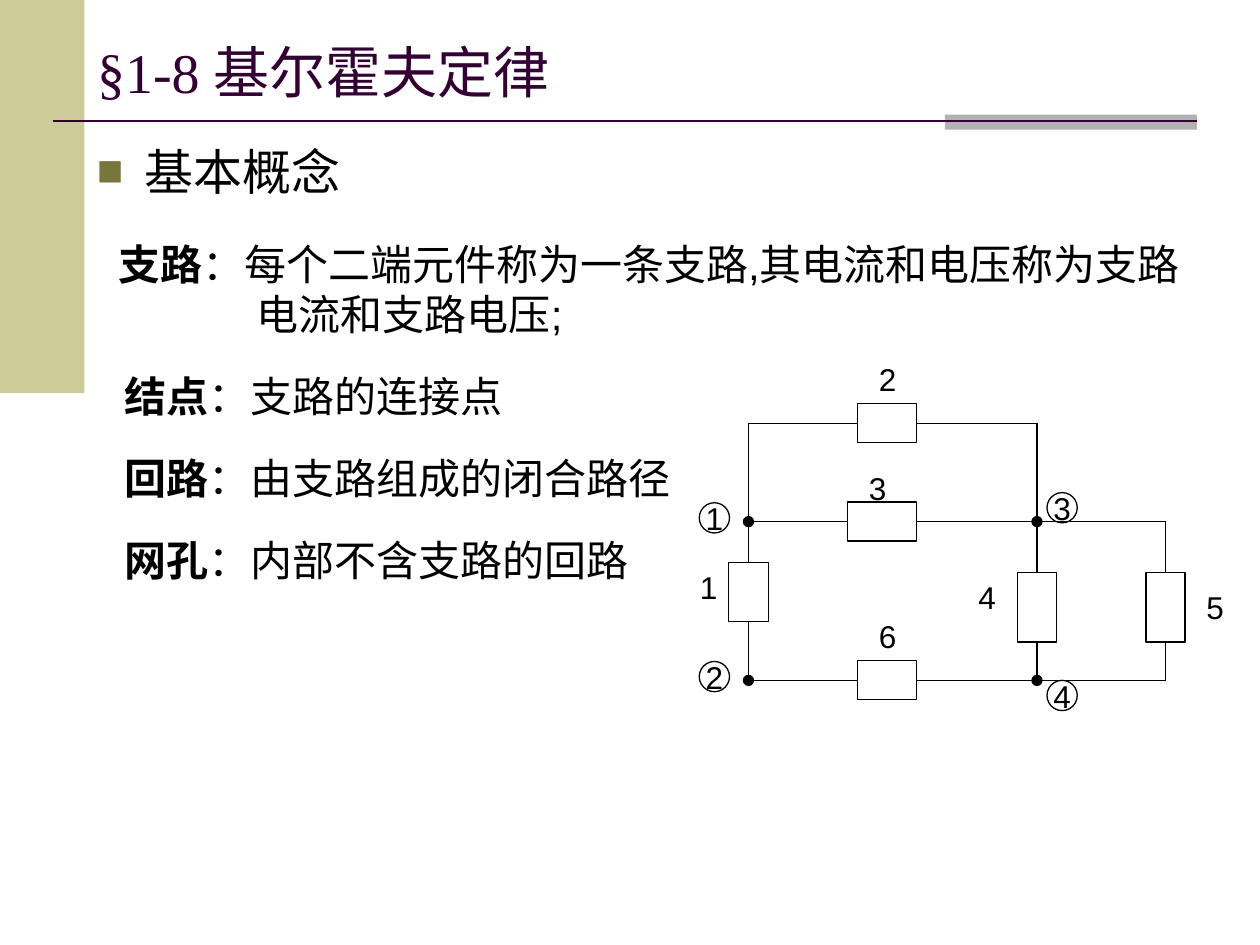
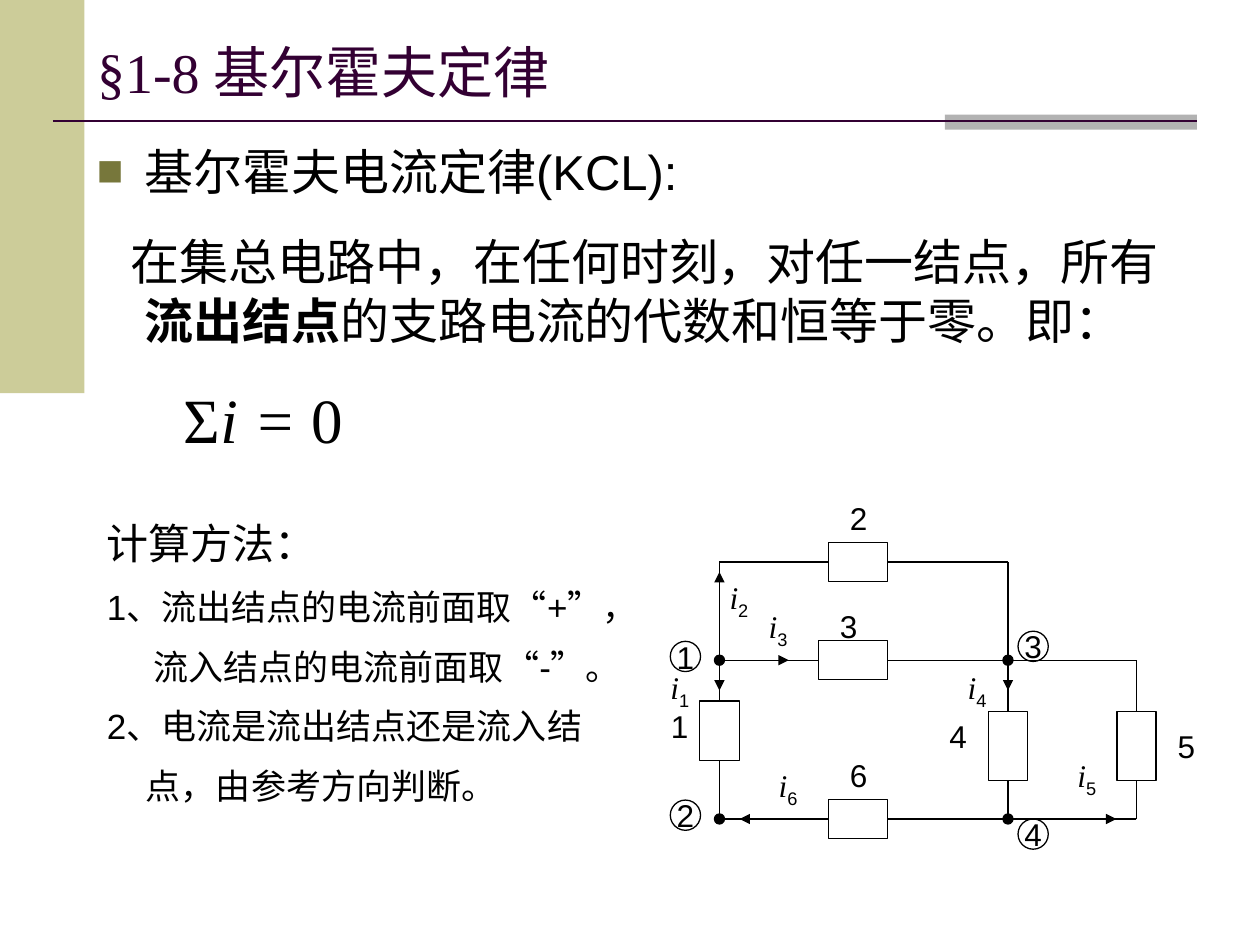
from dataclasses import dataclass
from typing import NamedTuple

import pptx
import pptx.dml.color
import pptx.enum.lang
import pptx.enum.shapes
import pptx.enum.text
import pptx.oxml.ns
import pptx.util
from lxml import etree
from pptx.util import Inches

COLORS = {
    "text": "000000",
    "title": "330033",
    "side_band": "CCCC99",
    "rule_band": "B2B2B2",
    "bullet": "77773B",
}
SANS, SERIF = "Arial", "Times New Roman"
TITLE = "§1-8 基尔霍夫定律"
SHAPES = pptx.enum.shapes.MSO_SHAPE
TOP, LEFT, BOTTOM, RIGHT = range(4)


class Point(NamedTuple):
    x: float
    y: float


class Run(NamedTuple):
    text: str
    style: dict = {}


@dataclass
class Paragraph:
    runs: list[Run]
    size: float = 24
    margin: float = 0
    indent: float = 0
    before: float = 18
    bullet: bool = False
    centered: bool = False


@dataclass
class Resistor:
    center: Point
    width: float
    height: float
    label: Point


@dataclass
class Wire:
    """Runs from start to a free end, or to the side of a resistor."""
    start: Point
    end: Point | None = None
    resistor: int = 0
    side: int = 0


@dataclass
class Current:
    start: Point
    end: Point
    label: Point


# Circuit, measured from its upper left corner
MIDDLE, LOW = 0.78, 2.04      # heights of the lower rails
INNER, OUTER = 2.29, 3.31     # positions of the right-hand branches
DOT, RING = 0.08, 0.24
LABEL_WIDTH, LABEL_HEIGHT = 0.47, 0.4

CORNER = Point(0, 0)
NODES = [Point(0, MIDDLE), Point(0, LOW), Point(INNER, MIDDLE), Point(INNER, LOW)]
NODE_LABELS = [Point(-0.39, 0.63), Point(-0.39, 1.89), Point(2.37, 0.55), Point(2.37, 2.04)]
RESISTORS = {
    1: Resistor(Point(0, 1.34), 0.32, 0.47, Point(-0.55, 1.1)),
    2: Resistor(Point(1.1, 0), 0.47, 0.31, Point(0.87, -0.55)),
    3: Resistor(Point(1.06, MIDDLE), 0.55, 0.31, Point(0.79, 0.31)),
    4: Resistor(Point(INNER, 1.46), 0.31, 0.55, Point(1.66, 1.18)),
    5: Resistor(Point(OUTER, 1.46), 0.31, 0.55, Point(3.47, 1.26)),
    6: Resistor(Point(1.1, LOW), 0.47, 0.31, Point(0.87, 1.49)),
}
WIRES = [
    Wire(CORNER, resistor=2, side=LEFT),
    Wire(CORNER, resistor=1, side=TOP),
    Wire(Point(INNER, 0), resistor=2, side=RIGHT),
    Wire(Point(INNER, 0), resistor=4, side=TOP),
    Wire(NODES[0], resistor=3, side=LEFT),
    Wire(NODES[2], resistor=3, side=RIGHT),
    Wire(NODES[2], Point(OUTER, MIDDLE)),
    Wire(Point(OUTER, MIDDLE), resistor=5, side=TOP),
    Wire(NODES[1], resistor=1, side=BOTTOM),
    Wire(NODES[1], resistor=6, side=LEFT),
    Wire(Point(OUTER, LOW), resistor=6, side=RIGHT),
    Wire(Point(OUTER, LOW), resistor=5, side=BOTTOM),
    Wire(NODES[3], resistor=4, side=BOTTOM),
]
CURRENTS = {
    1: Current(Point(0, 0.86), Point(0, 1.02), Point(-0.55, 0.79)),
    2: Current(Point(0, 0.55), Point(0, 0.08), Point(-0.08, 0.08)),
    3: Current(Point(0.16, MIDDLE), Point(0.55, MIDDLE), Point(0.23, 0.31)),
    4: Current(Point(INNER, 0.86), Point(INNER, 1.02), Point(1.81, 0.79)),
    5: Current(Point(2.68, LOW), Point(3.15, LOW), Point(2.68, 1.49)),
    6: Current(Point(0.63, LOW), Point(0.16, LOW), Point(0.31, 1.57)),
}


def rgb(name: str) -> pptx.dml.color.RGBColor:
    return pptx.dml.color.RGBColor.from_string(COLORS[name])


# Text
def add_text(paragraph, text: str, *, size: float, font: str = SANS, color: str = "text",
             bold: bool = False, italic: bool = False, baseline: int = 0) -> None:
    run = paragraph.add_run()
    run.text = text
    run.font.size = pptx.util.Pt(size)
    run.font.name = font
    run.font.bold = bold
    run.font.italic = italic
    run.font.color.rgb = rgb(color)
    run.font.language_id = pptx.enum.lang.MSO_LANGUAGE_ID.SIMPLIFIED_CHINESE
    if baseline:
        run.font._element.set("baseline", str(baseline * 1000))


def set_bullet(properties) -> None:
    def add(parent, tag: str, **attributes: str):
        return etree.SubElement(parent, pptx.oxml.ns.qn(tag), **attributes)

    add(add(properties, "a:buClr"), "a:srgbClr", val=COLORS["bullet"])
    add(properties, "a:buSzPct", val="90000")
    add(properties, "a:buFont", typeface=SANS)
    add(properties, "a:buChar", char="■")


def write_paragraphs(frame, paragraphs: list[Paragraph]) -> None:
    for index, item in enumerate(paragraphs):
        paragraph = frame.paragraphs[0] if index == 0 else frame.add_paragraph()
        properties = paragraph._p.get_or_add_pPr()
        properties.set("marL", str(Inches(item.margin)))
        properties.set("indent", str(Inches(item.indent)))
        if index:
            paragraph.space_before = pptx.util.Pt(item.before)
        if item.bullet:
            set_bullet(properties)
        if item.centered:
            paragraph.alignment = pptx.enum.text.PP_ALIGN.CENTER
        for run in item.runs:
            add_text(paragraph, run.text, **{"size": item.size, **run.style})


def add_text_box(slide, corner: Point, width: float, height: float,
                 paragraphs: list[Paragraph]) -> None:
    box = slide.shapes.add_textbox(*map(Inches, (*corner, width, height)))
    box.text_frame.word_wrap = True
    write_paragraphs(box.text_frame, paragraphs)


# Shapes and lines
def add_shape(slide, kind, corner: Point, width: float, height: float,
              fill: str | None = None, line: str | None = "text"):
    shape = slide.shapes.add_shape(kind, *map(Inches, (*corner, width, height)))
    shape.shadow.inherit = False
    if fill:
        shape.fill.solid()
        shape.fill.fore_color.rgb = rgb(fill)
    else:
        shape.fill.background()
    if line:
        shape.line.color.rgb = rgb(line)
        shape.line.width = pptx.util.Pt(0.75)
    else:
        shape.line.fill.background()
    return shape


def add_line(slide, start: Point, end: Point, color: str = "text",
             width: float = 0.75, arrow: bool = False):
    line = slide.shapes.add_connector(pptx.enum.shapes.MSO_CONNECTOR.STRAIGHT,
                                      *map(Inches, (*start, *end)))
    line.line.color.rgb = rgb(color)
    line.line.width = pptx.util.Pt(width)
    if arrow:
        etree.SubElement(line.line._get_or_add_ln(), pptx.oxml.ns.qn("a:tailEnd"), type="triangle")
    etree.SubElement(line._element.spPr, pptx.oxml.ns.qn("a:effectLst"))
    return line


# Frame shared by the slides
def add_lesson_slide(presentation, body: list[Paragraph]):
    slide = presentation.slides.add_slide(presentation.slide_layouts[5])
    add_shape(slide, SHAPES.RECTANGLE, Point(0, 0), 0.67, 3.12, "side_band", None)
    add_shape(slide, SHAPES.RECTANGLE, Point(7.5, 0.91), 2, 0.12, "rule_band", None)
    add_line(slide, Point(0.42, 0.96), Point(9.5, 0.96), "title", 1.5)

    title = slide.shapes.title
    title.left, title.top, title.width, title.height = map(Inches, (0.67, 0.3, 8.83, 0.53))
    frame = title.text_frame
    frame.auto_size = pptx.enum.text.MSO_AUTO_SIZE.NONE
    frame.vertical_anchor = pptx.enum.text.MSO_ANCHOR.MIDDLE
    frame.paragraphs[0].alignment = pptx.enum.text.PP_ALIGN.LEFT
    add_text(frame.paragraphs[0], TITLE, size=32, font=SERIF, color="title")

    add_text_box(slide, Point(0.67, 1.07), 8.83, 5.91, body)
    return slide


def add_circuit(slide, origin: Point, currents: dict[int, Current]) -> None:
    def place(point: Point, dx: float = 0, dy: float = 0) -> Point:
        return Point(origin.x + point.x + dx, origin.y + point.y + dy)

    def add_label(point: Point, runs: list[Run]) -> None:
        add_text_box(slide, place(point), LABEL_WIDTH, LABEL_HEIGHT,
                     [Paragraph(runs, size=18, centered=True)])

    # Resistors and wires
    boxes = {}
    for number, resistor in RESISTORS.items():
        corner = place(resistor.center, -resistor.width / 2, -resistor.height / 2)
        boxes[number] = add_shape(slide, SHAPES.RECTANGLE, corner, resistor.width, resistor.height)
        add_label(resistor.label, [Run(str(number))])
    for wire in WIRES:
        line = add_line(slide, place(wire.start), place(wire.end or wire.start))
        if wire.resistor:
            line.end_connect(boxes[wire.resistor], wire.side)

    # Nodes with ringed numbers
    for number, (node, label) in enumerate(zip(NODES, NODE_LABELS), start=1):
        add_shape(slide, SHAPES.OVAL, place(node, -DOT / 2, -DOT / 2), DOT, DOT, "text")
        frame = add_shape(slide, SHAPES.OVAL, place(label), RING, RING).text_frame
        frame.word_wrap = False
        frame.vertical_anchor = pptx.enum.text.MSO_ANCHOR.MIDDLE
        frame.margin_left = frame.margin_right = frame.margin_top = frame.margin_bottom = 0
        write_paragraphs(frame, [Paragraph([Run(str(number))], size=18, centered=True)])

    # Branch currents
    for number, current in currents.items():
        add_line(slide, place(current.start), place(current.end), arrow=True)
        add_label(current.label, [Run("i", {"font": SERIF, "italic": True}),
                                  Run(str(number), {"baseline": -25})])


def heading(text: str) -> Paragraph:
    return Paragraph([Run(text)], size=28, margin=0.38, indent=-0.38, bullet=True)


def definition(term: str, meaning: str) -> Paragraph:
    return Paragraph([Run(term, {"bold": True}), Run("：" + meaning)], margin=0.22)


def main() -> None:
    presentation = pptx.Presentation()
    presentation.slide_width, presentation.slide_height = Inches(10), Inches(7.5)

    # Basic concepts
    branch = definition("支路", "每个二端元件称为一条支路,其电流和电压称为支路电流和支路电压;")
    branch.margin, branch.indent, branch.before = 1.27, -1.1, 22
    concepts = add_lesson_slide(presentation, [
        heading("基本概念"),
        branch,
        definition("结点", "支路的连接点"),
        definition("回路", "由支路组成的闭合路径"),
        definition("网孔", "内部不含支路的回路"),
    ])
    add_circuit(concepts, Point(5.94, 3.36), {})

    # Current law
    current_law = add_lesson_slide(presentation, [
        heading("基尔霍夫电流定律(KCL):"),
        Paragraph([Run("在集总电路中，在任何时刻，对任一结点，所有"),
                   Run("流出结点", {"bold": True}),
                   Run("的支路电流的代数和恒等于零。即：")],
                  size=28, margin=0.38, indent=-0.11),
        Paragraph([Run("Σ", {"font": SERIF}),
                   Run("i = ", {"font": SERIF, "italic": True}),
                   Run("0", {"font": SERIF})], size=36, margin=0.69),
    ])
    add_circuit(current_law, Point(5.71, 4.46), CURRENTS)
    steps = [
        ("1、流出结点的电流前面取“+”，", 0),
        ("流入结点的电流前面取“-”。", 0.37),
        ("2、电流是流出结点还是流入结", 0),
        ("点，由参考方向判断。", 0.31),
    ]
    add_text_box(current_law, Point(0.75, 4.06), 4.33, 2.52, [
        Paragraph([Run("计算方法：")]),
        *(Paragraph([Run(text)], size=20, margin=margin, before=10) for text, margin in steps),
    ])

    presentation.save("out.pptx")


if __name__ == "__main__":
    main()
